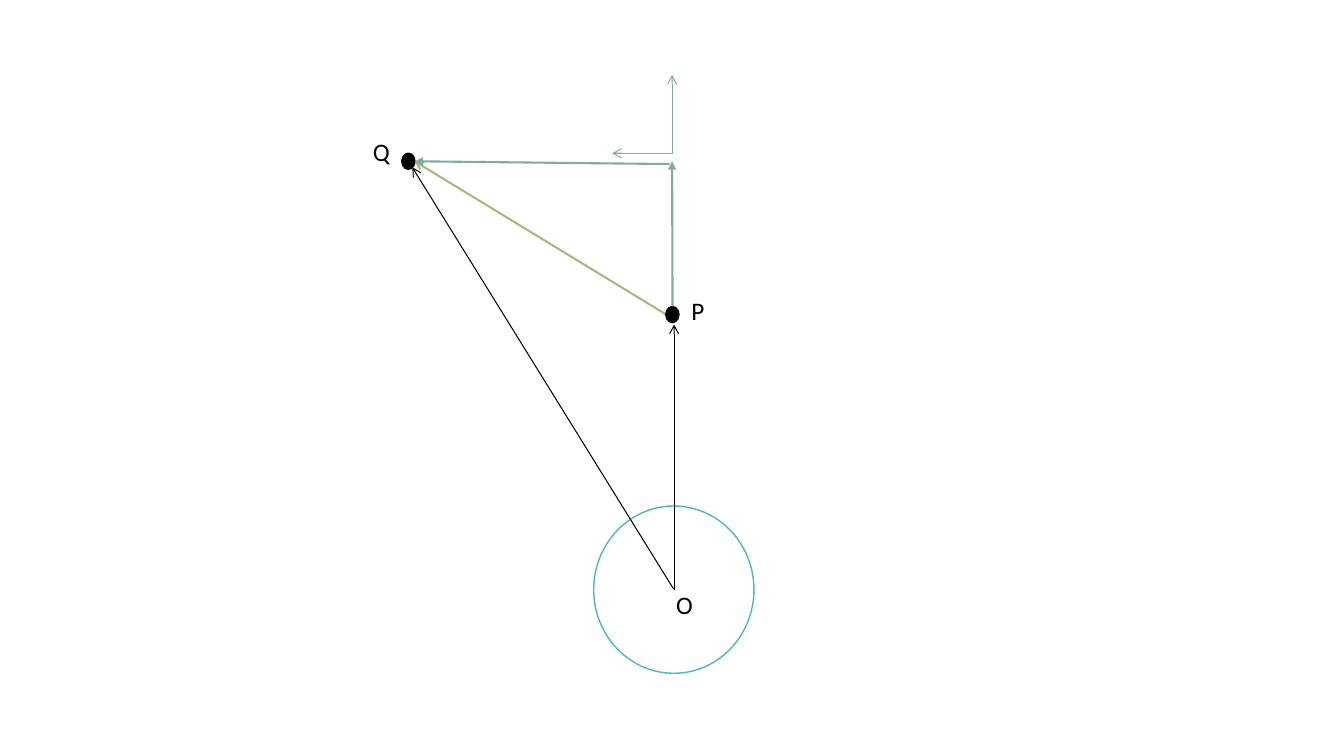
from dataclasses import dataclass

from lxml.etree import SubElement
from pptx import Presentation
from pptx.dml.color import RGBColor
from pptx.enum.shapes import MSO_CONNECTOR, MSO_SHAPE
from pptx.enum.text import MSO_AUTO_SIZE
from pptx.oxml.ns import qn
from pptx.util import Pt


@dataclass(frozen=True)
class Theme:
    font: str = "Calibri"
    label_size: float = 18
    ink: str = "000000"
    paper: str = "FFFFFF"
    orbit: str = "50B4C8"
    displacement: str = "A8B97F"
    component: str = "84AC9D"
    outline: float = 1
    thin: float = 0.75
    thick: float = 1.5


THEME = Theme()

ORBIT = {"center": (481.3, 421.2), "size": (114.5, 119.5)}
POINT_SIZE = (9.4, 11.5)
POINTS = {"P": (480.3, 224.7), "Q": (291.7, 115.2)}
LABELS = [
    ("P", 486.7, 207.4, 112.3),
    ("Q", 259.2, 93.6, 116.6),
    ("O", 475.9, 417.6, 31),
]
POSITION_ARROWS = [
    ((481.5, 421.2), (481.5, 231.8), THEME.ink, THEME.thin, "arrow"),
    ((481.2, 420.8), (294.5, 119.5), THEME.ink, THEME.thin, "arrow"),
    ((475.9, 224.7), (296.2, 115.2), THEME.displacement, THEME.thick, "arrow"),
]
COMPONENT_ARROWS = [
    ((480.4, 218.9), (480.1, 115.2), THEME.component, THEME.thick, "triangle"),
    ((478.4, 117.2), (296.2, 115.2), THEME.component, THEME.thick, "triangle"),
    ((480.1, 109.5), (437.2, 109.5), THEME.component, THEME.thin, "arrow"),
    ((480.1, 109.8), (480.1, 53.5), THEME.component, THEME.thin, "arrow"),
]

deck = Presentation()
deck.slide_width, deck.slide_height = Pt(960), Pt(540)
slide = deck.slides.add_slide(deck.slide_layouts[6])


def add_ellipse(center, size, fill, line):
    (x, y), (width, height) = center, size
    ellipse = slide.shapes.add_shape(
        MSO_SHAPE.OVAL, Pt(x - width / 2), Pt(y - height / 2), Pt(width), Pt(height)
    )
    ellipse.shadow.inherit = False
    ellipse.fill.solid()
    ellipse.fill.fore_color.rgb = RGBColor.from_string(fill)
    ellipse.line.color.rgb = RGBColor.from_string(line)
    ellipse.line.width = Pt(THEME.outline)


def add_arrow(start, end, color, width, head):
    arrow = slide.shapes.add_connector(
        MSO_CONNECTOR.STRAIGHT, *(Pt(value) for value in start + end)
    )
    arrow.line.color.rgb = RGBColor.from_string(color)
    arrow.line.width = Pt(width)
    SubElement(arrow.line._get_or_add_ln(), qn("a:tailEnd"), type=head)
    SubElement(arrow._element.spPr, qn("a:effectLst"))


def add_label(text, left, top, width, *, height=29.1, size=THEME.label_size, color=THEME.ink):
    label = slide.shapes.add_textbox(Pt(left), Pt(top), Pt(width), Pt(height))
    frame = label.text_frame
    frame.word_wrap = True
    frame.auto_size = MSO_AUTO_SIZE.SHAPE_TO_FIT_TEXT
    run = frame.paragraphs[0].add_run()
    run.text = text
    run.font.name = THEME.font
    run.font.size = Pt(size)
    run.font.color.rgb = RGBColor.from_string(color)


add_ellipse(ORBIT["center"], ORBIT["size"], THEME.paper, THEME.orbit)
for position_arrow in POSITION_ARROWS:
    add_arrow(*position_arrow)
for point_label in LABELS:
    add_label(*point_label)
for point_center in POINTS.values():
    add_ellipse(point_center, POINT_SIZE, THEME.ink, THEME.ink)
for component_arrow in COMPONENT_ARROWS:
    add_arrow(*component_arrow)

deck.save("out.pptx")
